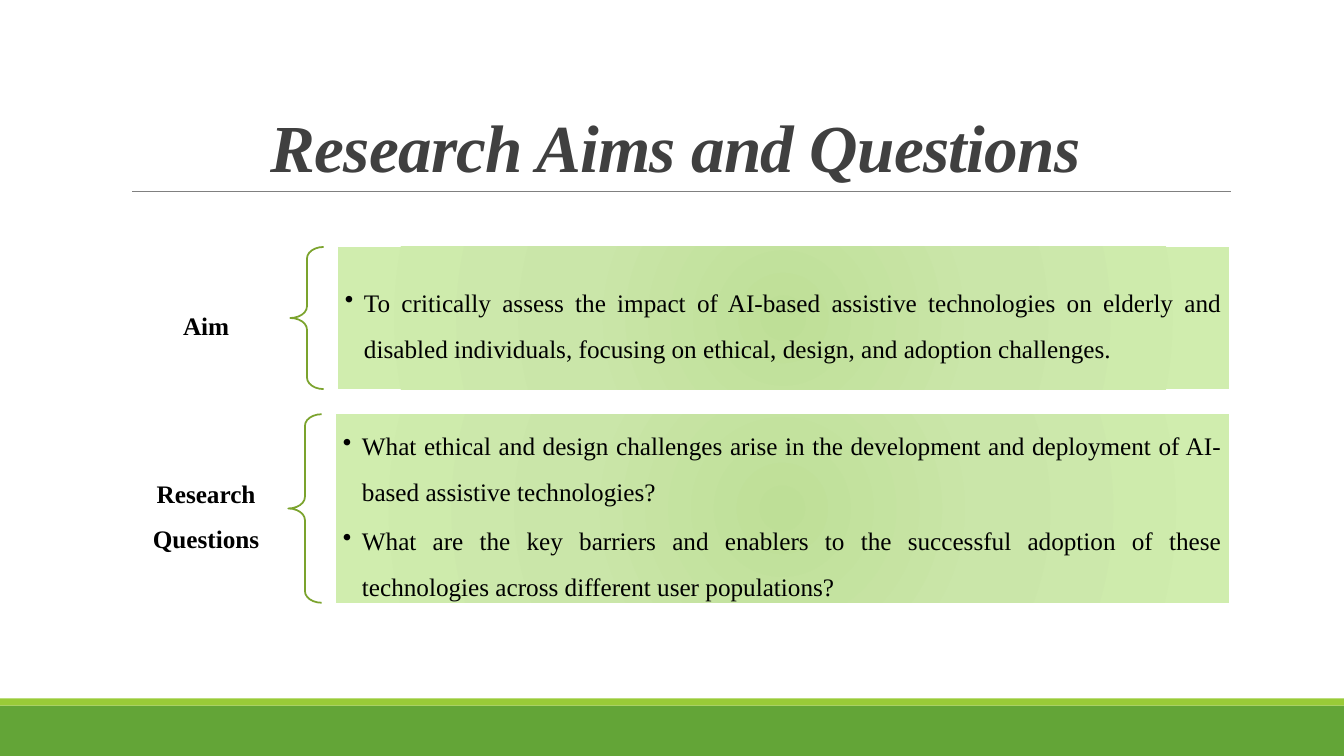
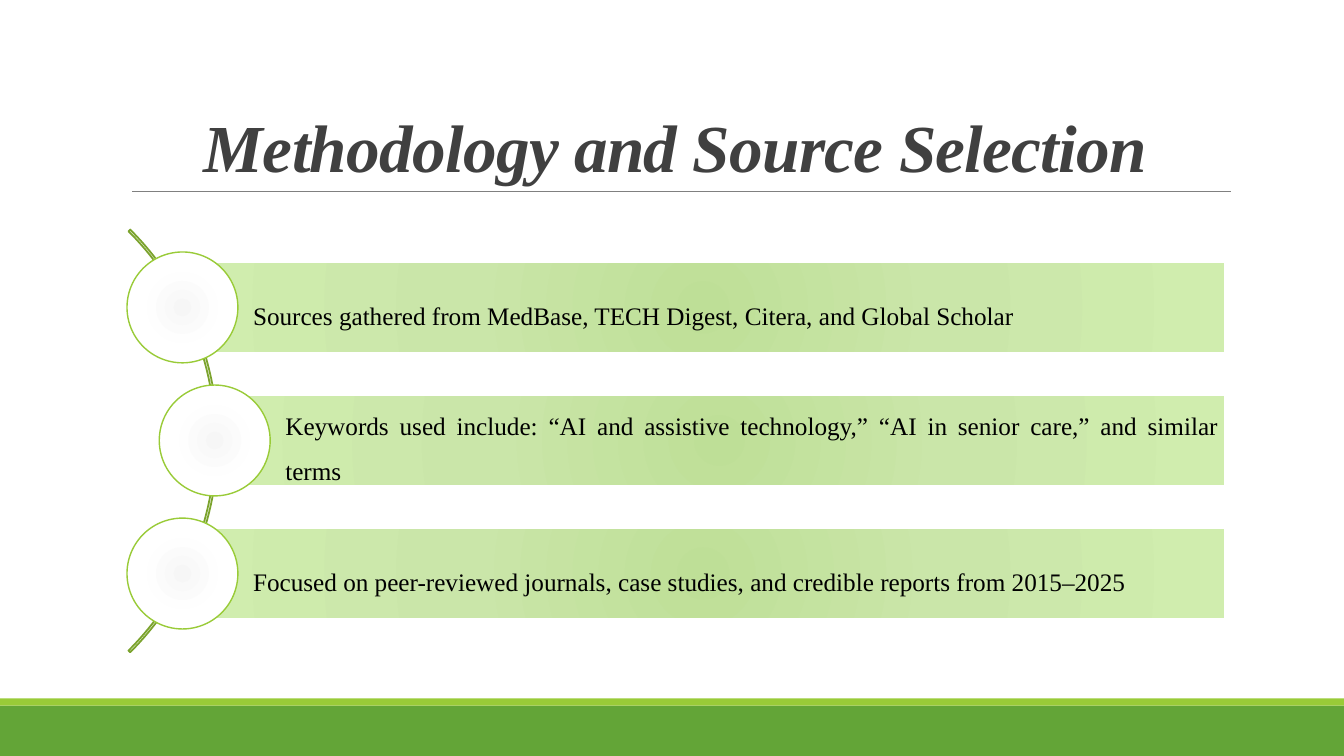
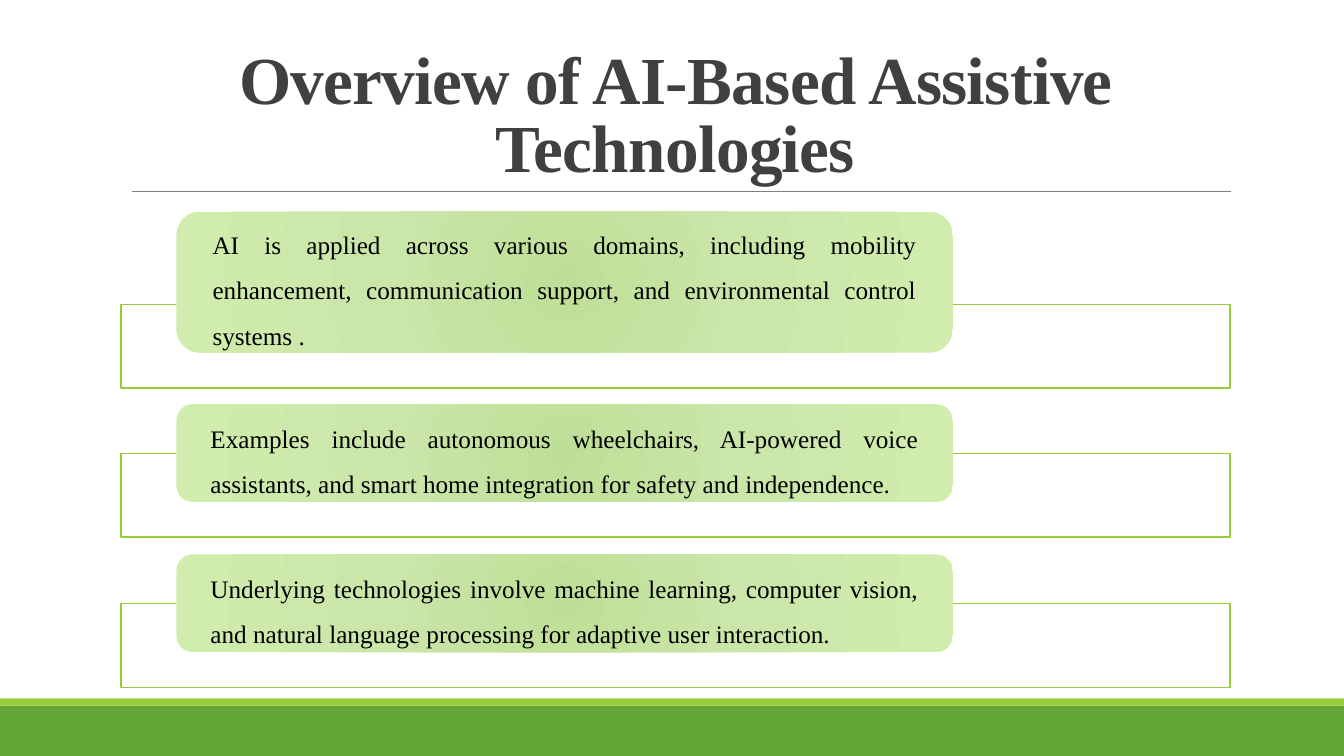
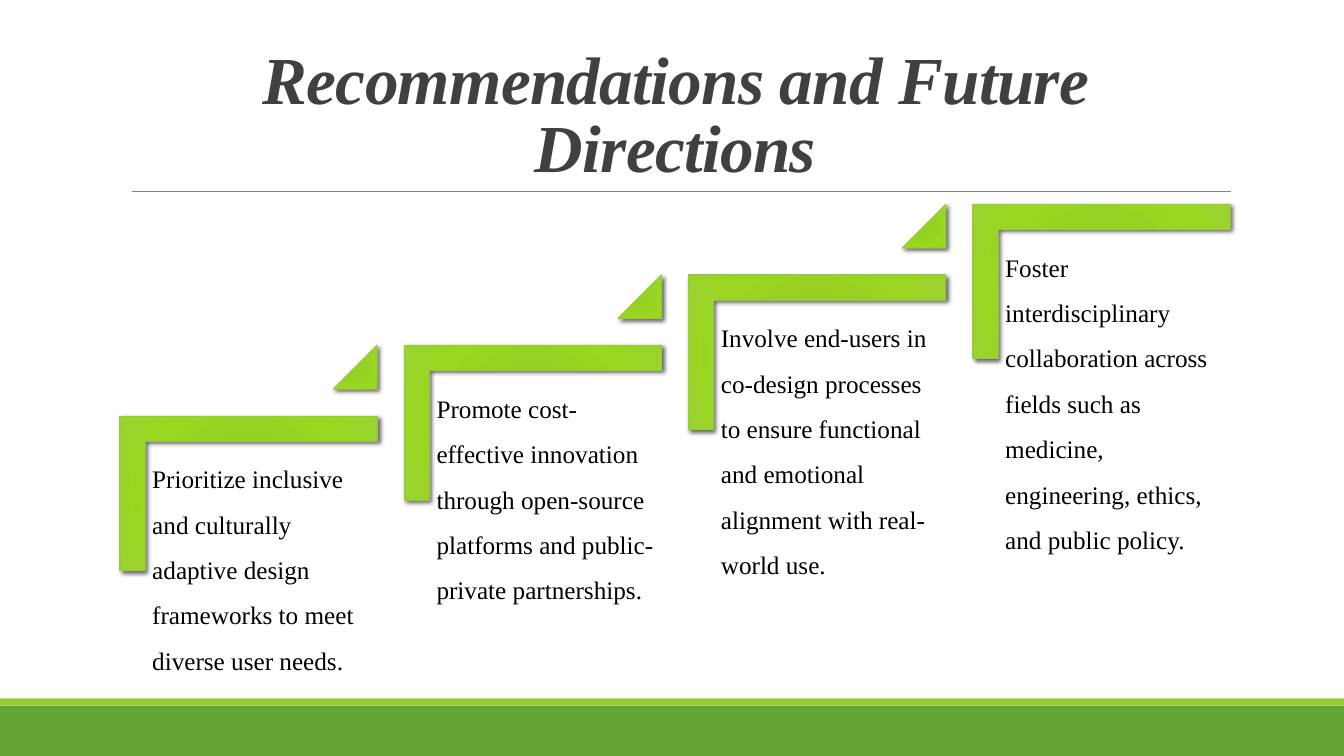
from lxml import etree
from pptx import Presentation
from pptx.dml.color import RGBColor
from pptx.enum.shapes import MSO_CONNECTOR, MSO_SHAPE
from pptx.enum.text import MSO_ANCHOR, PP_ALIGN
from pptx.oxml.ns import qn
from pptx.util import Inches, Pt

RECT, ROUND, OVAL = MSO_SHAPE.RECTANGLE, MSO_SHAPE.ROUNDED_RECTANGLE, MSO_SHAPE.OVAL
BRACE, ARC = MSO_SHAPE.LEFT_BRACE, MSO_SHAPE.BLOCK_ARC
CORNER, WEDGE = MSO_SHAPE.CORNER, MSO_SHAPE.ISOSCELES_TRIANGLE
LINE = MSO_CONNECTOR.STRAIGHT
LEFT, MID, FULL = PP_ALIGN.LEFT, PP_ALIGN.CENTER, PP_ALIGN.JUSTIFY
TOP, CENTER, BASE = MSO_ANCHOR.TOP, MSO_ANCHOR.MIDDLE, MSO_ANCHOR.BOTTOM

FONT = "Times New Roman"
COLORS = {
    "band": "63A537", "lime": "99CB38", "rule": "808080", "title": "404040",
    "text": "000000", "stem": "7BA32D", "white": "FFFFFF",
}
GRADS = {
    "pale": [(0, "BEDF97"), (45, "CAE6A9"), (100, "D0EDAE")],
    "pearl": [(0, "F6F6F6"), (45, "FEFEFE"), (100, "FFFFFF")],
    "vivid": [(0, "95D220"), (34, "96D023"), (70, "99D720"), (100, "9BD231")],
}


def node(base, tag, **attrs):
    return etree.SubElement(base, qn(tag), {k: str(v) for k, v in attrs.items()})


def color(name):
    return RGBColor.from_string(COLORS[name])


class Deck:
    """Holds the shared style and the current slide."""

    def __init__(self):
        self.show = Presentation()
        self.show.slide_width = Inches(13.33)
        self.show.slide_height = Inches(7.5)
        self.slide = None

    def page(self, title, italic=True):
        self.slide = self.show.slides.add_slide(self.show.slide_layouts[6])
        self.shape(RECT, (0, 7, 13.33, 0.5), "band")
        self.shape(RECT, (0, 6.93, 13.33, 0.07), "lime")
        self.rule(1.31, 12.21, 1.9)
        box = self.label((1.2, 0.31, 11, 1.59), [title], (0.1, 0.05, 0.1, 0.05),
                         MID, BASE, size=48, bold=True, italic=italic,
                         ink="title", lead=0.85)
        for run in box.text_frame.paragraphs[0].runs:
            run.font._element.set("spc", "-50")

    def rule(self, left, right, top):
        line = self.slide.shapes.add_connector(
            LINE, Inches(left), Inches(top), Inches(right), Inches(top))
        line.line.color.rgb = color("rule")
        line.line.width = Pt(0.5)
        node(line._element.spPr, "a:effectLst")

    def shape(self, kind, at, fill=None, line=None, width=1, adj=()):
        item = self.slide.shapes.add_shape(kind, *map(Inches, at))
        item.shadow.inherit = False
        for i, value in enumerate(adj):
            item.adjustments[i] = value
        if fill in GRADS:
            self.blend(item, GRADS[fill])
        elif fill:
            item.fill.solid()
            item.fill.fore_color.rgb = color(fill)
        else:
            item.fill.background()
        if line:
            item.line.color.rgb = color(line)
            item.line.width = Pt(width)
        else:
            item.line.fill.background()
        return item

    def blend(self, item, stops):
        item.fill.gradient()
        grad = item._element.spPr.find(qn("a:gradFill"))
        grad.clear()
        group = node(grad, "a:gsLst")
        for pos, tone in stops:
            node(node(group, "a:gs", pos=pos * 1000), "a:srgbClr", val=tone)
        side = 100000
        node(node(grad, "a:path", path="circle"), "a:fillToRect",
             l=side, t=side, r=side, b=side)

    def raised(self, kind, at, adj, turn=0):
        item = self.shape(kind, at, "vivid", "lime", adj=adj)
        item.rotation = turn
        cast = node(item._element.spPr.find(qn("a:effectLst")), "a:outerShdw",
                    blurRad=Pt(3), dist=Pt(2), dir=45 * 60000,
                    algn="ctr", rotWithShape=0)
        node(node(cast, "a:srgbClr", val=COLORS["text"]), "a:alpha", val=60000)

    def label(self, at, lines, pad, align, anchor, **style):
        box = self.slide.shapes.add_textbox(*map(Inches, at))
        self.letter(box, lines, pad, align, anchor, **style)
        return box

    def letter(self, item, lines, pad, align=FULL, anchor=CENTER, size=18,
               bold=False, italic=False, ink="text", lead=1.5, dots=False):
        frame = item.text_frame
        frame.word_wrap = True
        frame.vertical_anchor = anchor
        (frame.margin_left, frame.margin_top,
         frame.margin_right, frame.margin_bottom) = map(Inches, pad)
        frame.text = "\n".join(lines)
        for para in frame.paragraphs:
            para.alignment = align
            para.line_spacing = lead
            if dots:
                self.dot(para)
            for run in para.runs:
                font = run.font
                font.name, font.size = FONT, Pt(size)
                font.bold, font.italic = bold, italic
                font.color.rgb = color(ink)

    def dot(self, para):
        para.space_after = Pt(3)
        props = para._p.get_or_add_pPr()
        props.set("marL", str(Inches(0.19)))
        props.set("indent", str(-Inches(0.19)))
        node(props, "a:buChar", char="•")

    def brace(self, name, lines, left, top, high):
        self.label((1.21, top + (high - 1.39) / 2, 1.67, 1.39), [name],
                   (0.14, 0.05, 0.14, 0.05), MID, CENTER, bold=True)
        self.shape(BRACE, (left, top, 0.33, high), None, "stem", 1.25, (0.35, 0.5))
        start = left + 0.47
        body = self.shape(RECT, (start, top, 12.19 - start, high), "pale")
        self.letter(body, lines, (0.07,) * 4, dots=True)

    def bead(self, text, left, top):
        bar = self.shape(RECT, (left, top, 12.14 - left, 0.88), "pale")
        self.letter(bar, [text], (0.7, 0.05, 0.05, 0.05))
        self.shape(OVAL, (left - 0.55, top - 0.11, 1.1, 1.1), "pearl", "lime")

    def card(self, text, top, high):
        self.shape(RECT, (1.2, top, 11, 0.83), "white", "lime")
        tab = self.shape(ROUND, (1.75, top + 0.48 - high, 7.7, high), "pale")
        self.letter(tab, [text], (0.29, 0, 0.29, 0))

    def step(self, text, left, top, last):
        self.raised(CORNER, (left, top, 1.53, 2.55), (0.161, 0.161), 90)
        self.label((left - 0.26, top + 0.76, 2.3, 2.02), [text],
                   (0.07,) * 4, LEFT, TOP)
        if not last:
            self.raised(WEDGE, (left + 1.61, top - 0.19, 0.43, 0.43), (1,))


def main():
    deck = Deck()

    deck.page("Research Aims and Questions")
    deck.brace("Aim", [
        "To critically assess the impact of AI-based assistive technologies on elderly "
        "and disabled individuals, focusing on ethical, design, and adoption challenges.",
    ], 2.88, 2.45, 1.41)
    deck.brace("Research Questions", [
        "What ethical and design challenges arise in the development and deployment of "
        "AI-based assistive technologies?",
        "What are the key barriers and enablers to the successful adoption of these "
        "technologies across different user populations?",
    ], 2.86, 4.11, 1.87)

    deck.page("Methodology and Source Selection")
    deck.shape(ARC, (-3.77, 1.41, 5.93, 5.93), None, "stem", 1.25, (189, 27, 0.004))
    beads = [
        (1.81, "Sources gathered from MedBase, TECH Digest, Citera, and Global Scholar"),
        (2.13, "Keywords used include: “AI and assistive technology,” “AI in senior "
               "care,” and similar terms"),
        (1.81, "Focused on peer-reviewed journals, case studies, and credible reports "
               "from 2015–2025"),
    ]
    for i, (left, text) in enumerate(beads):
        deck.bead(text, left, 2.61 + 1.32 * i)

    deck.page("Overview of AI-Based Assistive Technologies", italic=False)
    cards = [
        (3.02, 1.4, "AI is applied across various domains, including mobility enhancement, "
                    "communication support, and environmental control systems ."),
        (4.5, 0.97, "Examples include autonomous wheelchairs, AI-powered voice assistants, "
                    "and smart home integration for safety and independence."),
        (5.99, 0.97, "Underlying technologies involve machine learning, computer vision, "
                     "and natural language processing for adaptive user interaction."),
    ]
    for top, high, text in cards:
        deck.card(text, top, high)

    deck.page("Recommendations and Future Directions")
    steps = [
        "Prioritize inclusive and culturally adaptive design frameworks to meet diverse "
        "user needs.",
        "Promote cost-effective innovation through open-source platforms and "
        "public-private partnerships.",
        "Involve end-users in co-design processes to ensure functional and emotional "
        "alignment with real-world use.",
        "Foster interdisciplinary collaboration across fields such as medicine, "
        "engineering, ethics, and public policy.",
    ]
    for i, text in enumerate(steps):
        deck.step(text, 1.7 + 2.82 * i, 3.62 - 0.7 * i, i == len(steps) - 1)

    deck.show.save("out.pptx")


if __name__ == "__main__":
    main()
